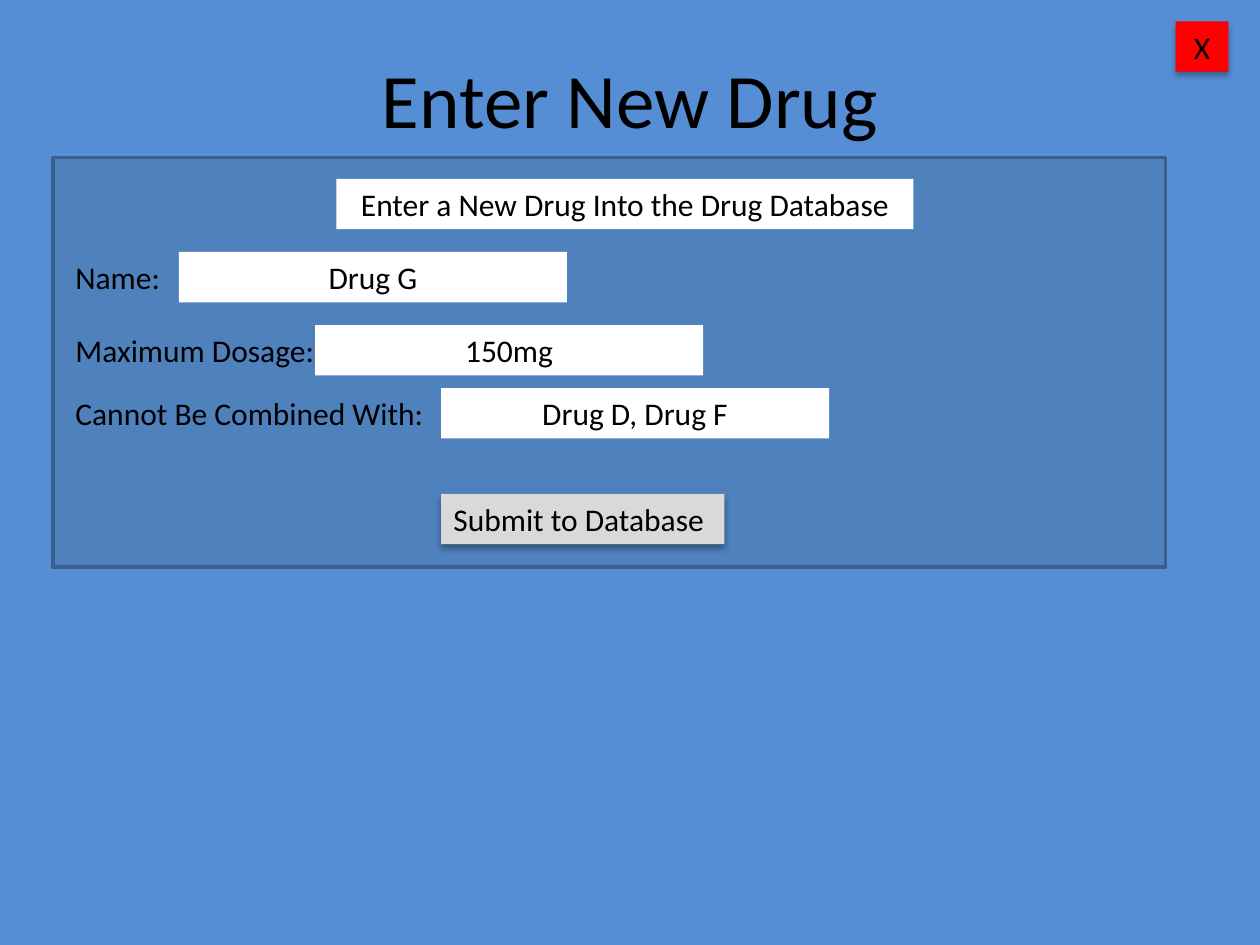
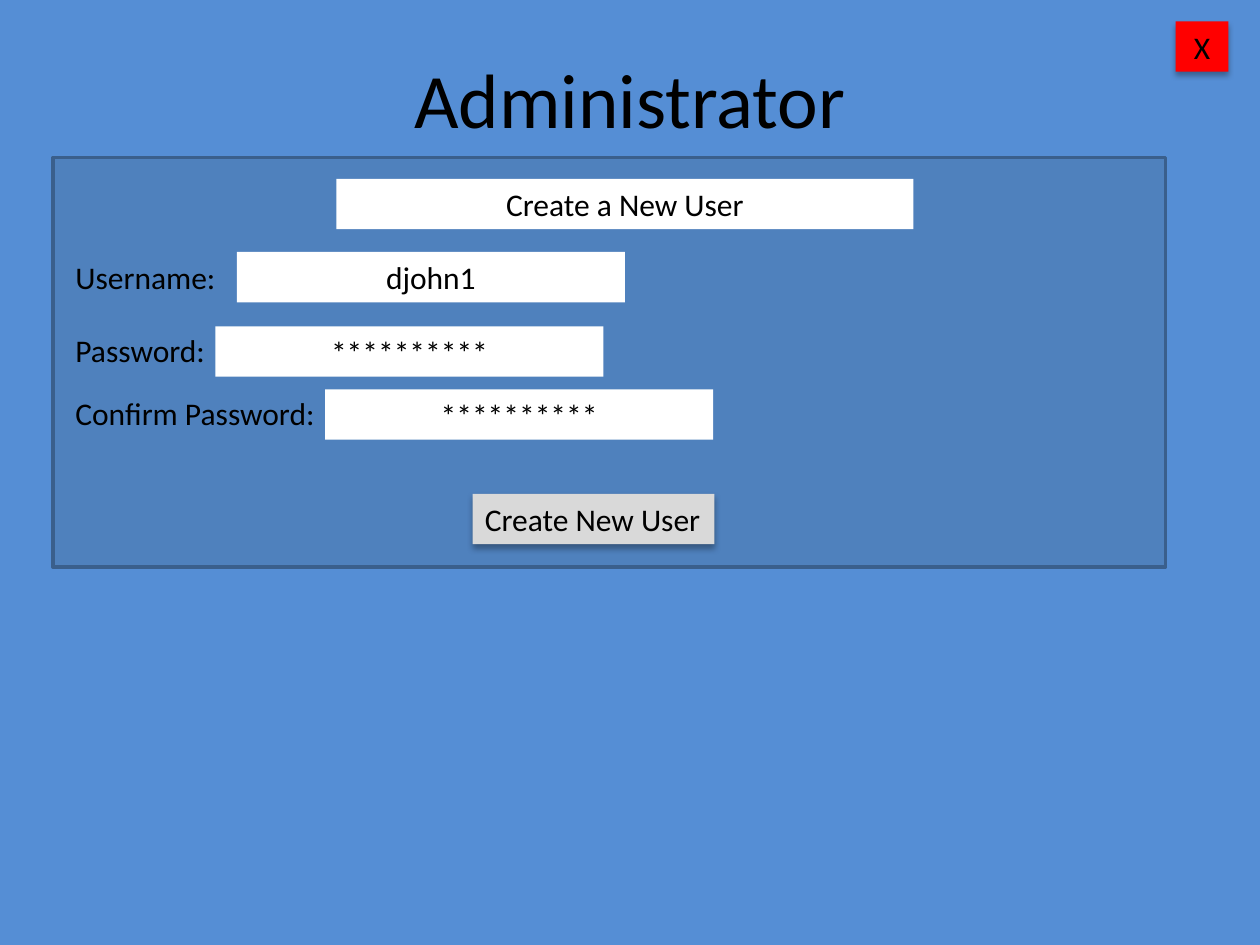
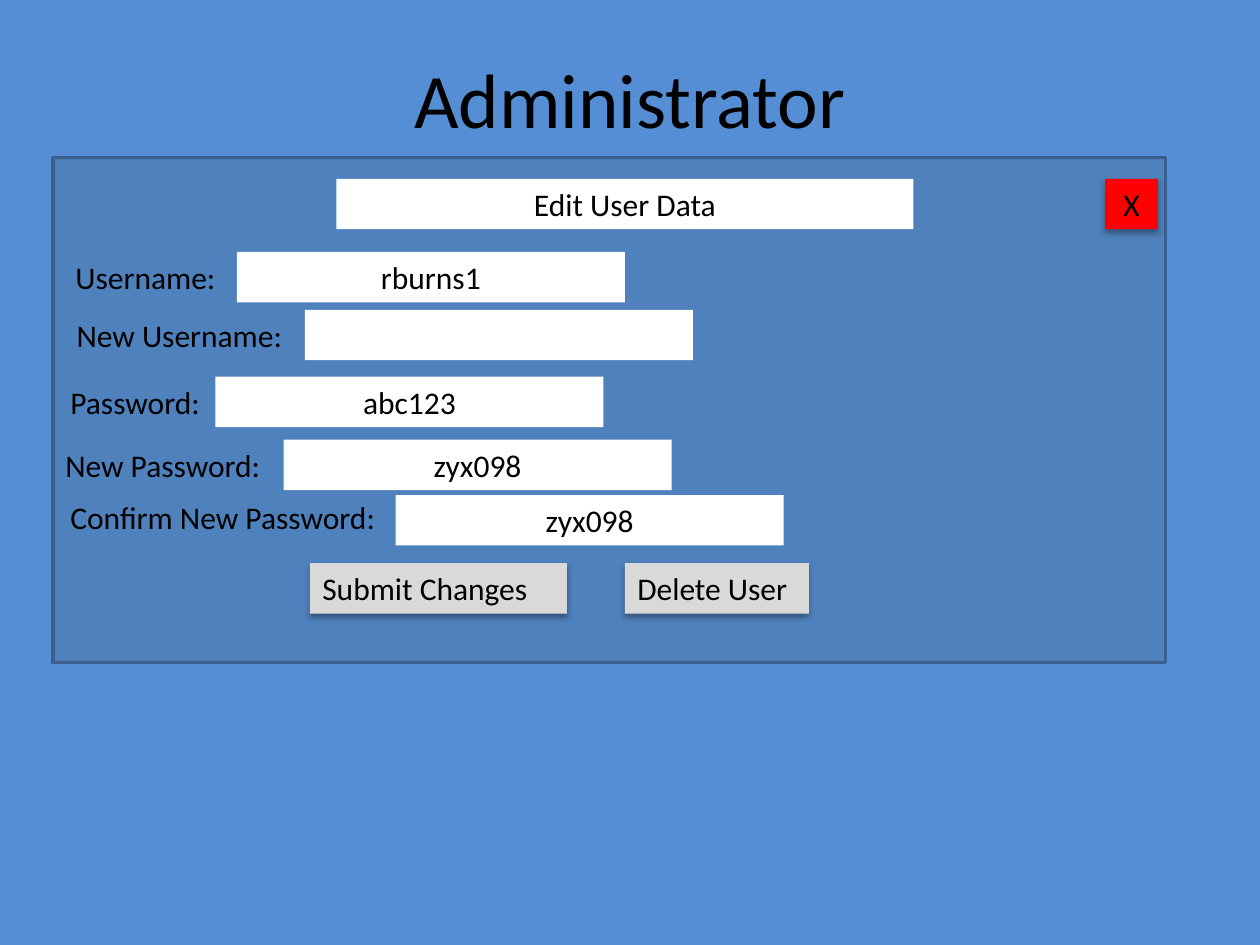
from dataclasses import dataclass

from lxml import etree
from pptx import Presentation
from pptx import util as u
from pptx.dml.color import RGBColor
from pptx.enum import shapes, text
from pptx.oxml import ns


@dataclass(frozen=True)
class Theme:
    font: str = "Calibri"
    title_size: int = 44
    body_size: int = 18
    ink: str = "000000"
    background: str = "558ED5"
    panel: str = "4F81BD"
    panel_line: str = "3A5F8C"
    field: str = "FFFFFF"
    button: str = "D9D9D9"
    close: str = "FF0000"


THEME = Theme()
CONTROL_HEIGHT = 0.4
FIELD_WIDTH = 3.08
CENTER, LEFT = text.PP_ALIGN.CENTER, text.PP_ALIGN.LEFT


@dataclass(frozen=True)
class Box:
    left: float
    top: float
    width: float
    height: float = CONTROL_HEIGHT

    def inside(self, left, top, width, height=CONTROL_HEIGHT):
        """Return a box placed relative to this one's top left corner."""
        return Box(self.left + left, self.top + top, width, height)

    def lengths(self):
        return [u.Inches(value) for value in (self.left, self.top, self.width, self.height)]


@dataclass(frozen=True)
class Row:
    """A labelled field; positions are relative to the panel."""
    label: str
    value: str
    top: float
    label_width: float
    field_left: float
    label_left: float = 0.08
    field_drop: float = 0


@dataclass(frozen=True)
class Button:
    caption: str
    left: float
    width: float


@dataclass(frozen=True)
class Form:
    title: str
    heading: str
    rows: list
    buttons: list
    buttons_top: float = 2.67
    panel: Box = Box(0.42, 1.25, 8.83, 3.25)
    close: Box = Box(9.33, 0.17, 0.42)


FORMS = [
    Form(
        "Enter New Drug", "Enter a New Drug Into the Drug Database",
        [Row("Name:", "Drug G", 0.75, 1, 1),
         Row("Maximum Dosage:", "150mg", 1.33, 2.25, 2.08),
         Row("Cannot Be Combined With:", "Drug D, Drug F", 1.83, 3.25, 3.08)],
        [Button("Submit to Database", 3.08, 2.25)],
    ),
    Form(
        "Administrator", "Create a New User",
        [Row("Username:", "djohn1", 0.75, 1.42, 1.46),
         Row("Password:", "**********", 1.33, 1.25, 1.29, field_drop=0.01),
         Row("Confirm Password:", "**********", 1.83, 2.17, 2.16, field_drop=0.01)],
        [Button("Create New User", 3.33, 1.92)],
    ),
    Form(
        "Administrator", "Edit User Data",
        [Row("Username:", "rburns1", 0.75, 1.42, 1.46),
         Row("New Username:", "", 1.21, 1.9, 2, 0.09),
         Row("Password:", "abc123", 1.74, 1.25, 1.29, 0.04),
         Row("New Password:", "zyx098", 2.24, 2.17, 1.83, 0),
         Row("Confirm New Password:", "zyx098", 2.65, 2.79, 2.72, 0.04, 0.03)],
        [Button("Submit Changes", 2.04, 2.04), Button("Delete User", 4.54, 1.46)],
        buttons_top=3.22,
        panel=Box(0.42, 1.25, 8.83, 4.01),
        close=Box(8.77, 1.42, 0.42),
    ),
]


def rgb(value):
    return RGBColor.from_string(value)


def write(shape, caption, alignment=LEFT, size=THEME.body_size, anchor=text.MSO_ANCHOR.TOP):
    frame = shape.text_frame
    frame.word_wrap = True
    frame.vertical_anchor = anchor
    frame.text = caption
    paragraph = frame.paragraphs[0]
    paragraph.alignment = alignment
    paragraph.font.size = u.Pt(size)
    for run in paragraph.runs:
        run.font.name = THEME.font
        run.font.size = u.Pt(size)
        run.font.color.rgb = rgb(THEME.ink)


def add_label(slide, box, caption, **style):
    label = slide.shapes.add_textbox(*box.lengths())
    write(label, caption, **style)


def add_rectangle(slide, box, fill):
    rectangle = slide.shapes.add_shape(shapes.MSO_SHAPE.RECTANGLE, *box.lengths())
    rectangle.shadow.inherit = False
    rectangle.fill.solid()
    rectangle.fill.fore_color.rgb = rgb(fill)
    rectangle.line.fill.background()
    return rectangle


def add_field(slide, box, caption):
    write(add_rectangle(slide, box, THEME.field), caption, CENTER)


def add_button(slide, box, caption, fill=THEME.button, alignment=LEFT):
    button = add_rectangle(slide, box, fill)
    cast_shadow(button)
    write(button, caption, alignment)


def cast_shadow(shape):
    effects = shape.element.spPr.find(ns.qn("a:effectLst"))
    shadow = etree.SubElement(
        effects, ns.qn("a:outerShdw"), blurRad=str(u.Pt(3.5)), dist=str(u.Pt(2.2)),
        dir="5400000", algn="ctr", rotWithShape="0")
    color = etree.SubElement(shadow, ns.qn("a:srgbClr"), val=THEME.ink)
    etree.SubElement(color, ns.qn("a:alpha"), val="32000")


def add_panel(slide, form):
    panel = form.panel
    background = add_rectangle(slide, panel, THEME.panel)
    background.line.color.rgb = rgb(THEME.panel_line)
    background.line.width = u.Pt(2)
    add_field(slide, panel.inside(2.25, 0.17, 4.58), form.heading)
    for row in form.rows:
        add_label(slide, panel.inside(row.label_left, row.top, row.label_width), row.label)
        field_top = row.top + row.field_drop
        add_field(slide, panel.inside(row.field_left, field_top, FIELD_WIDTH), row.value)
    for button in form.buttons:
        box = panel.inside(button.left, form.buttons_top, button.width)
        add_button(slide, box, button.caption)


def add_form_slide(presentation, form):
    slide = presentation.slides.add_slide(presentation.slide_layouts[6])
    slide.background.fill.solid()
    slide.background.fill.fore_color.rgb = rgb(THEME.background)
    add_label(slide, Box(0.5, 0.3, 9, 0.95), form.title, alignment=CENTER,
              size=THEME.title_size, anchor=text.MSO_ANCHOR.MIDDLE)
    add_panel(slide, form)
    add_button(slide, form.close, "X", THEME.close, CENTER)


def main():
    presentation = Presentation()
    presentation.slide_width = u.Inches(10)
    presentation.slide_height = u.Inches(7.5)
    for form in FORMS:
        add_form_slide(presentation, form)
    presentation.save("out.pptx")


if __name__ == "__main__":
    main()
